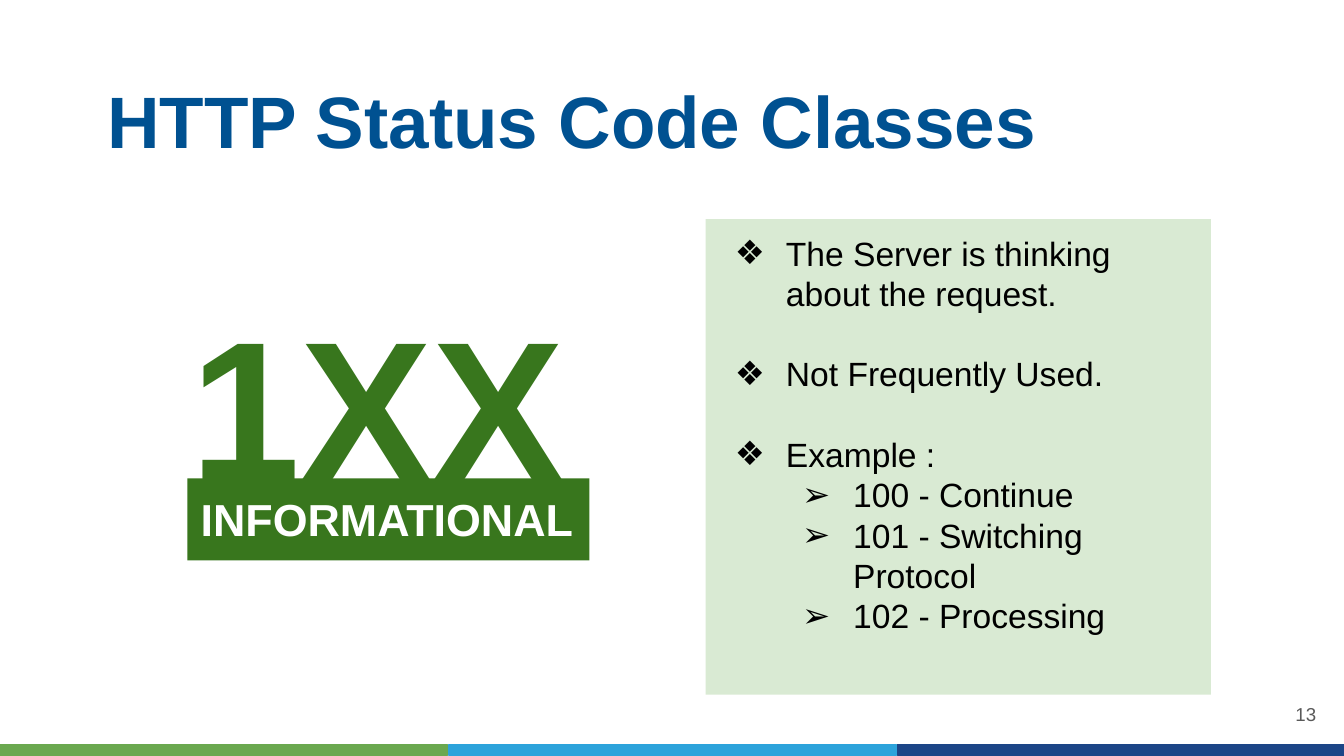
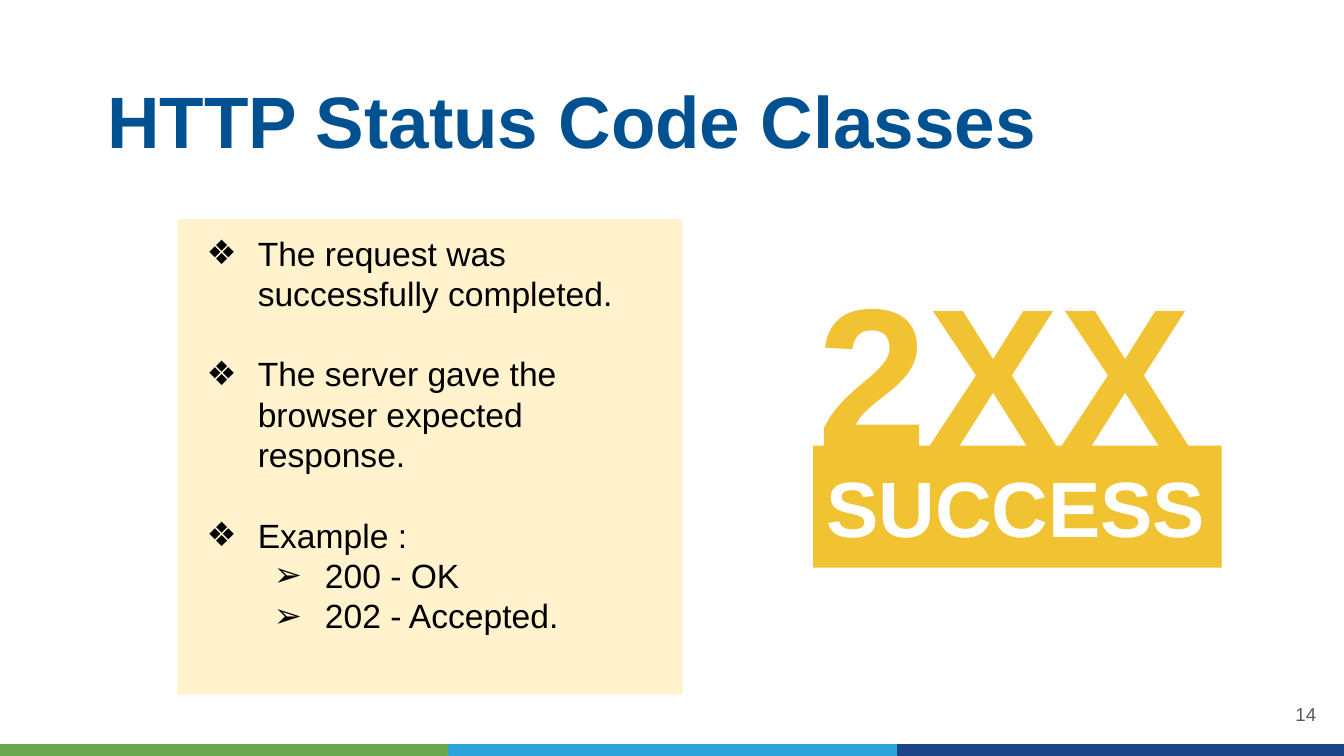
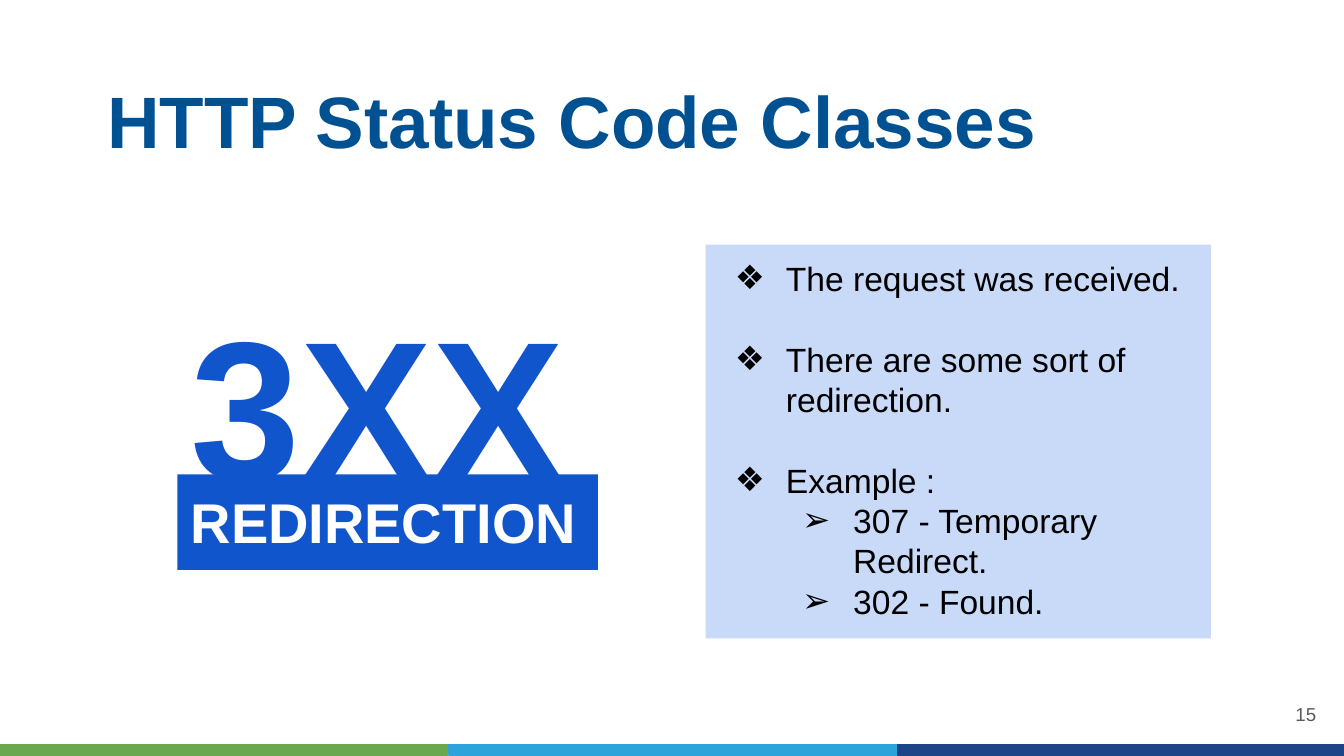
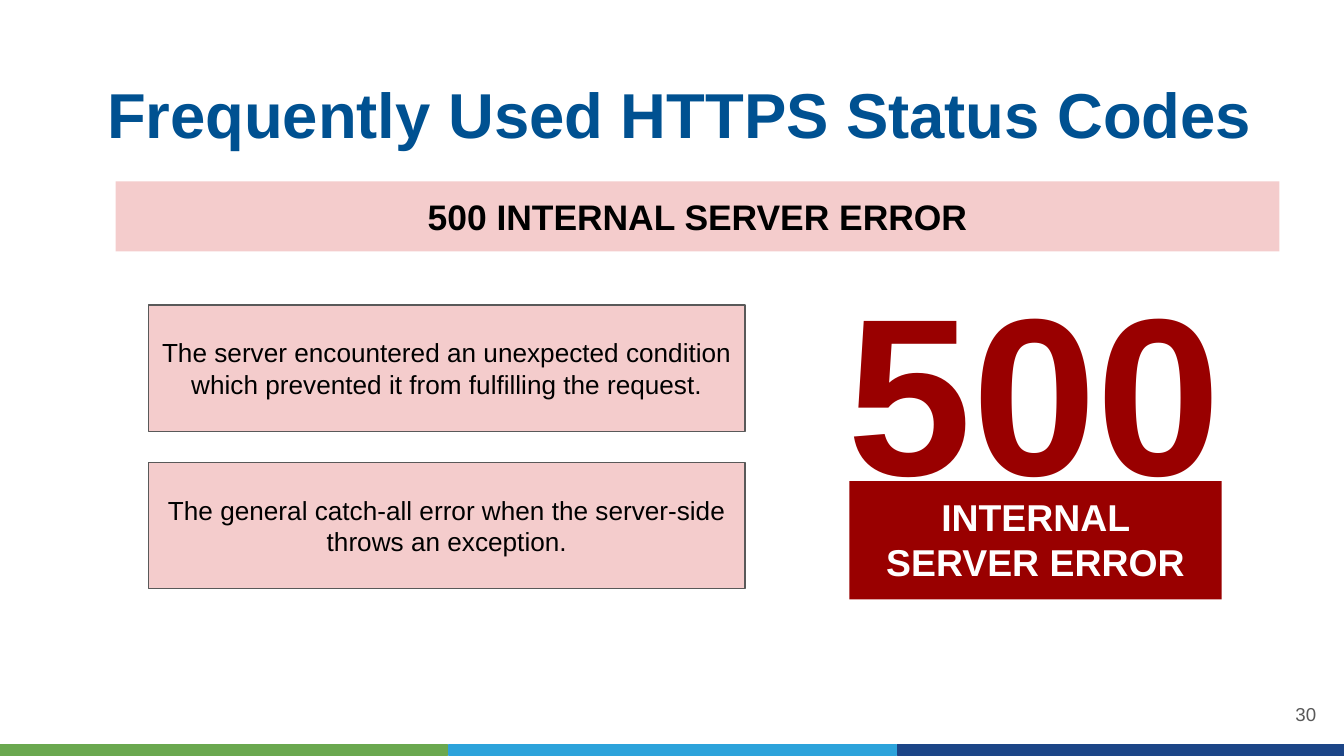
import pptx
import pptx.util
import pptx.dml.color
import pptx.enum.shapes
import pptx.enum.text
import pptx.oxml.ns
from lxml import etree

WIDE = 10
HIGH = WIDE * 9 / 16
COLS = 100
UNIT = pptx.util.Inches(WIDE / COLS)
FONT = "Arial"
HUES = {
    "title": "005191", "text": "000000", "white": "FFFFFF", "grey": "595959",
    "leaf": "6AA84F", "sky": "2CA3DB", "navy": "1C4587",
    "green": "38761D", "mint": "D9EAD3", "gold": "F1C232", "cream": "FFF2CC",
    "blue": "1155CC", "ice": "C9DAF8", "red": "990000", "pink": "F4CCCC",
}
ALIGN = pptx.enum.text.PP_ALIGN
ANCHOR = pptx.enum.text.MSO_ANCHOR
MARKS = ["❖", "➢"]
GAP = 21.6

CLASSES = [
    {"page": 13, "code": "1XX", "name": "INFORMATIONAL", "size": 24,
     "hue": "green", "tint": "mint", "digits": (13.2, 20),
     "tag": (13.95, 35.6, 29.9, 6.1), "panel": (52.5, 16.3, 37.6, 35.4),
     "points": ["The Server is thinking about the request.",
                "Not Frequently Used.", "Example :"],
     "cases": ["100 - Continue", "101 - Switching Protocol",
               "102 - Processing"]},
    {"page": 14, "code": "2XX", "name": "SUCCESS", "size": 42,
     "hue": "gold", "tint": "cream", "digits": (59.85, 17.55),
     "tag": (60.5, 33.15, 30.4, 9.1), "panel": (13.2, 16.3, 37.6, 35.4),
     "points": ["The request was successfully completed.",
                "The server gave the browser expected response.", "Example :"],
     "cases": ["200 - OK", "202 - Accepted."]},
    {"page": 15, "code": "3XX", "name": "REDIRECTION", "size": 30,
     "hue": "blue", "tint": "ice", "digits": (13.2, 20),
     "tag": (13.2, 35.3, 31.3, 7.1), "panel": (52.5, 18.2, 37.6, 29.3),
     "points": ["The request was received.",
                "There are some sort of redirection.", "Example :"],
     "cases": ["307 - Temporary Redirect.", "302 - Found."]},
]


def rgb(hue):
    return pptx.dml.color.RGBColor.from_string(HUES[hue])


def place(spot):
    return [round(part * UNIT) for part in spot]


def frame(shape, pad=1, anchor=ANCHOR.TOP):
    body = shape.text_frame
    body.word_wrap = True
    body.vertical_anchor = anchor
    inset = round(pad * UNIT)
    body.margin_left = body.margin_right = inset
    body.margin_top = body.margin_bottom = inset
    return body


def write(par, text, size, hue, bold=False, align=ALIGN.LEFT):
    par.alignment = align
    run = par.add_run()
    run.text = text
    run.font.name = FONT
    run.font.size = pptx.util.Pt(size)
    run.font.bold = bold
    run.font.color.rgb = rgb(hue)


def label(slide, spot, text, size, hue, pad=1, bold=True,
          align=ALIGN.LEFT, anchor=ANCHOR.TOP):
    box = slide.shapes.add_textbox(*place(spot))
    body = frame(box, pad, anchor)
    write(body.paragraphs[0], text, size, hue, bold, align)


def block(slide, spot, fill, edge=None):
    rect = pptx.enum.shapes.MSO_SHAPE.RECTANGLE
    shape = slide.shapes.add_shape(rect, *place(spot))
    shape.shadow.inherit = False
    shape.fill.solid()
    shape.fill.fore_color.rgb = rgb(fill)
    if edge:
        shape.line.color.rgb = rgb(edge)
        shape.line.width = pptx.util.Pt(0.75)
    else:
        shape.line.fill.background()
    return shape


def card(slide, spot, fill, text, size, hue="text", bold=True,
         align=ALIGN.CENTER, anchor=ANCHOR.TOP, edge=None):
    body = frame(block(slide, spot, fill, edge), anchor=anchor)
    write(body.paragraphs[0], text, size, hue, bold, align)


def bullet(par, level):
    par.level = level
    props = par._p.get_or_add_pPr()
    props.set("marL", str(pptx.util.Inches(0.5 * (level + 1))))
    props.set("indent", str(-pptx.util.Inches(0.38)))
    qn = pptx.oxml.ns.qn
    tint = etree.SubElement(props, qn("a:buClr"))
    etree.SubElement(tint, qn("a:srgbClr")).set("val", HUES["text"])
    etree.SubElement(props, qn("a:buFont")).set("typeface", FONT)
    etree.SubElement(props, qn("a:buChar")).set("char", MARKS[level])


def panel(slide, spot, fill, points, cases):
    body = frame(block(slide, spot, fill))
    items = [(0, text) for text in points] + [(1, text) for text in cases]
    for rank, (level, text) in enumerate(items):
        par = body.add_paragraph() if rank else body.paragraphs[0]
        bullet(par, level)
        if rank and level == 0:
            par.space_before = pptx.util.Pt(GAP)
        write(par, text, 18, "text")


def base(deck, title, size, page, tall):
    slide = deck.slides.add_slide(deck.slide_layouts[6])
    for rank, hue in enumerate(["leaf", "sky", "navy"]):
        block(slide, (rank * 33.4, 55.4, 33.3, 0.8), hue, hue)
    label(slide, (7.25, 4.9, 89.3, tall), title, size, "title", pad=0.72)
    label(slide, (92.65, 51, 6, 4.3), str(page), 10, "grey", pad=0.72,
          bold=False, align=ALIGN.RIGHT, anchor=ANCHOR.MIDDLE)
    return slide


def group(deck, item):
    slide = base(deck, "HTTP Status Code Classes", 39, item["page"], 8)
    label(slide, (*item["digits"], 29.9, 19.9), item["code"], 106, item["hue"])
    card(slide, item["tag"], item["hue"], item["name"], item["size"],
         "white", align=ALIGN.LEFT)
    panel(slide, item["panel"], item["tint"], item["points"], item["cases"])


def error(deck):
    slide = base(deck, "Frequently Used HTTPS Status Codes", 34, 30, 6.3)
    facts = [
        "The server encountered an unexpected condition which prevented it "
        "from fulfilling the request.",
        "The general catch-all error when the server-side throws an exception.",
    ]
    for rank, fact in enumerate(facts):
        card(slide, (11.05, 22.7 + rank * 11.7, 44.4, 9.4), "pink", fact, 14,
             bold=False, anchor=ANCHOR.MIDDLE, edge="grey")
    card(slide, (8.6, 13.5, 86.6, 5.2), "pink", "500 INTERNAL SERVER ERROR", 19)
    label(slide, (62.1, 17.7, 29.9, 22.2), "500", 120, "red")
    card(slide, (63.2, 35.8, 27.7, 8.8), "red", "INTERNAL SERVER ERROR", 20,
         "white")


def main():
    deck = pptx.Presentation()
    deck.slide_width = pptx.util.Inches(WIDE)
    deck.slide_height = pptx.util.Inches(HIGH)
    for item in CLASSES:
        group(deck, item)
    error(deck)
    deck.save("out.pptx")


if __name__ == "__main__":
    main()
